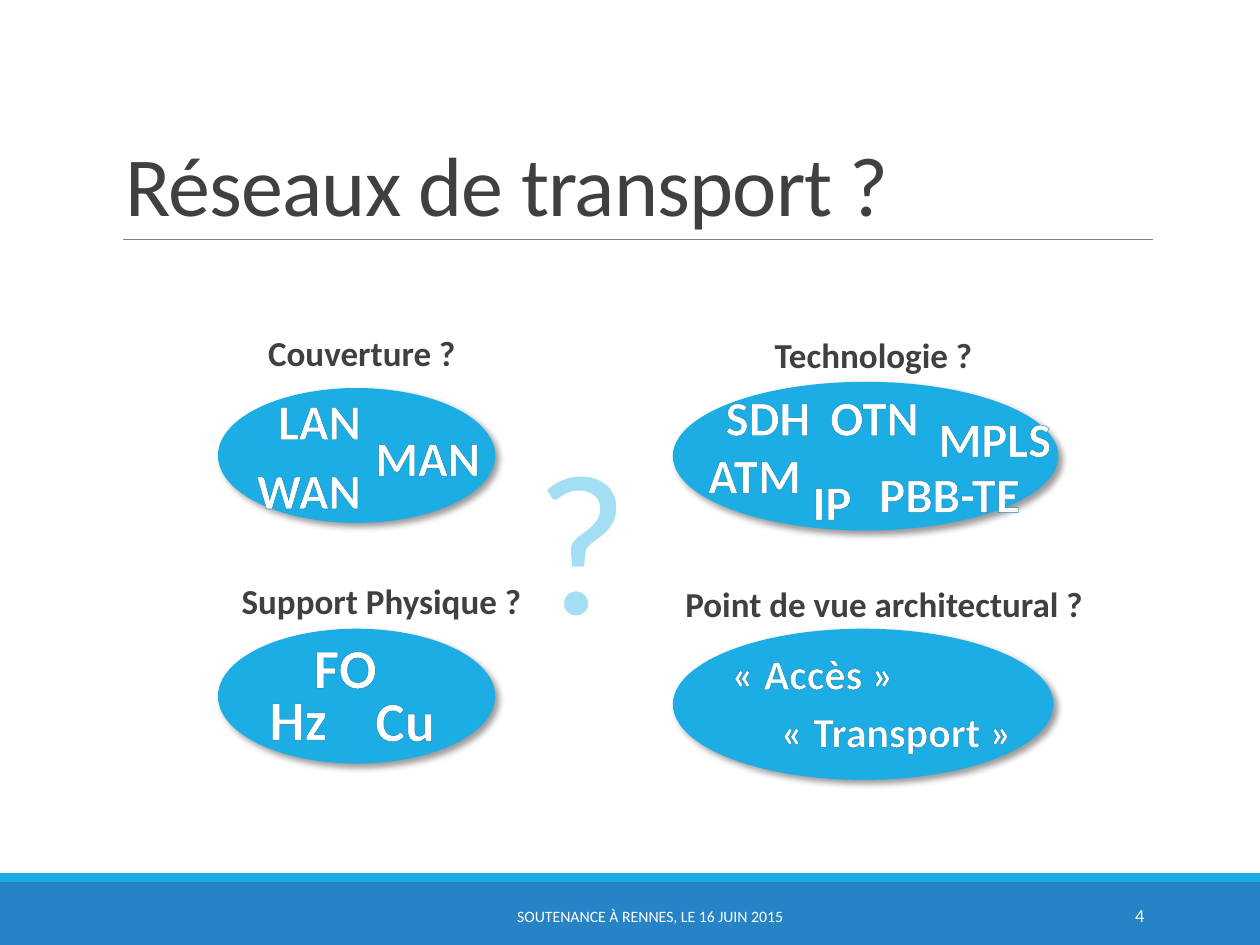
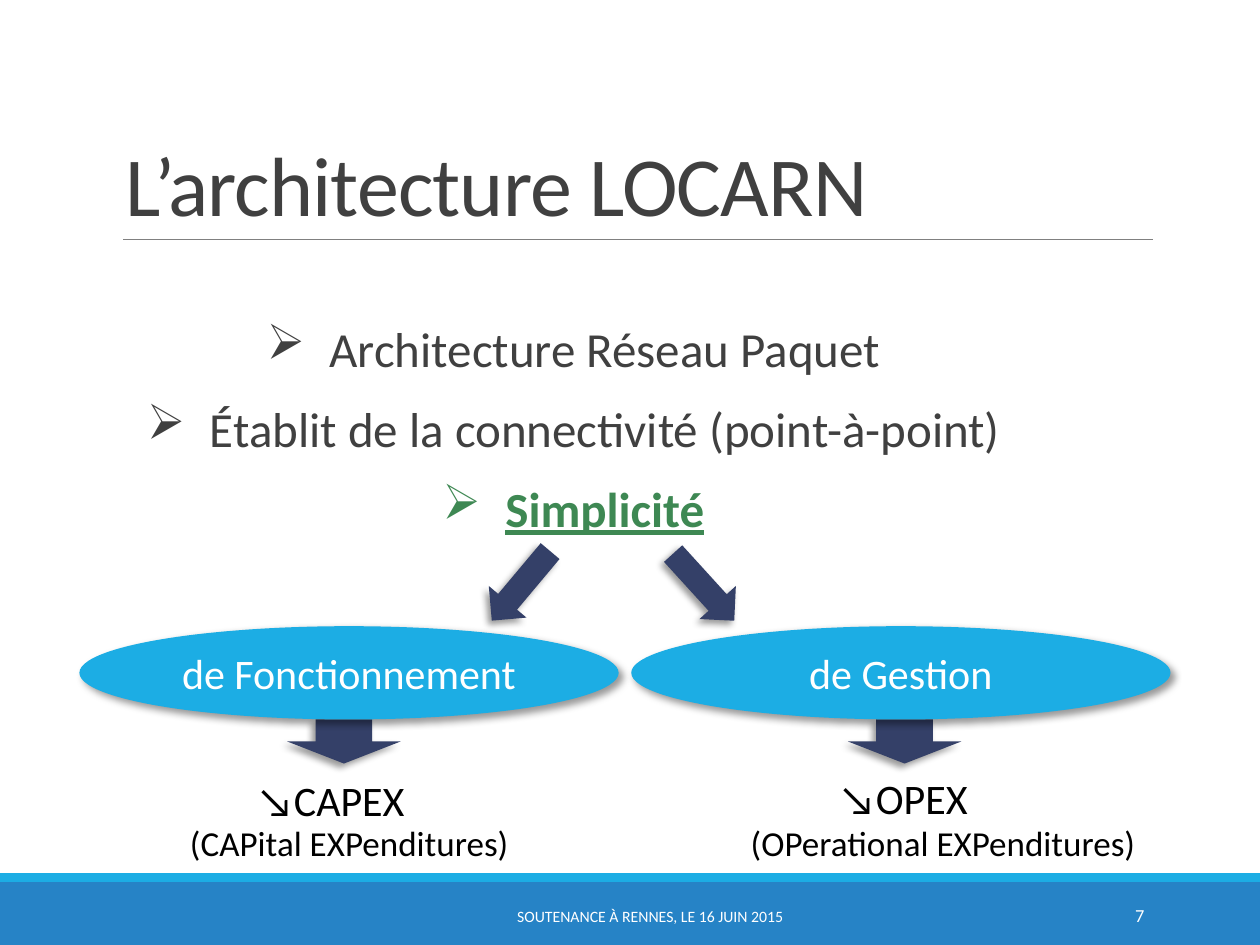
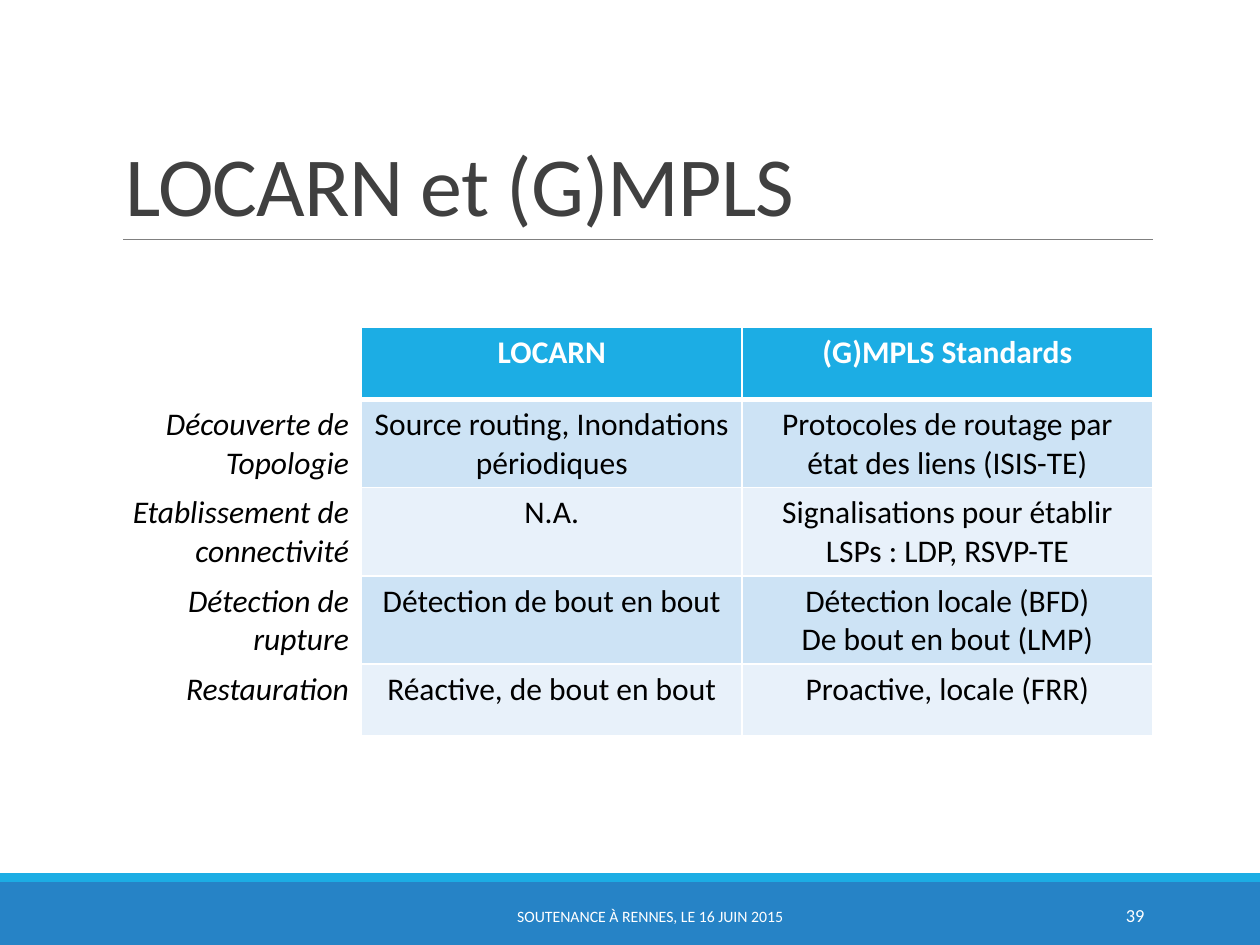
from dataclasses import dataclass

from lxml import etree
from pptx import Presentation
from pptx import util as u
from pptx.dml.color import RGBColor
from pptx.enum import shapes, text
from pptx.oxml import ns


@dataclass(frozen=True)
class Theme:
    font: str = "Calibri"
    white: str = "FFFFFF"
    black: str = "000000"
    ink: str = "404040"
    rule: str = "808080"
    blue: str = "1CADE4"
    footer_blue: str = "2683C6"
    outline_blue: str = "1482AC"
    pale_blue: str = "A4DEF4"
    navy: str = "344068"
    green: str = "3E8853"
    row_dark: str = "CDE3F5"
    row_light: str = "E8F1FA"
    title: float = 48
    large: float = 28
    medium: float = 24
    label: float = 20
    table: float = 18
    footer: float = 9
    number: float = 10.5
    giant: float = 115


theme = Theme()
LEFT, CENTER, RIGHT = text.PP_ALIGN.LEFT, text.PP_ALIGN.CENTER, text.PP_ALIGN.RIGHT
TOP, MIDDLE, BOTTOM = text.MSO_ANCHOR.TOP, text.MSO_ANCHOR.MIDDLE, text.MSO_ANCHOR.BOTTOM


def write(frame, content, size, color, align=LEFT, anchor=TOP, wrap=True, bold=False, italic=False):
    """Fill a text frame and format all of its runs."""
    frame.text = content
    frame.word_wrap = wrap
    frame.vertical_anchor = anchor
    for paragraph in frame.paragraphs:
        paragraph.alignment = align
        for run in paragraph.runs:
            run.font.name = theme.font
            run.font.size = u.Pt(size)
            run.font.bold = bold
            run.font.italic = italic
            run.font.color.rgb = RGBColor.from_string(color)
    return frame


def add_block(slide, preset, box, color, shadow_angle=None):
    """Add a filled shape without outline, with an optional soft shadow."""
    block = slide.shapes.add_shape(preset, *map(u.Inches, box))
    block.fill.solid()
    block.fill.fore_color.rgb = RGBColor.from_string(color)
    block.line.fill.background()
    block.shadow.inherit = False
    if shadow_angle is not None:
        effects = block._element.spPr.find(ns.qn("a:effectLst"))
        shadow = etree.SubElement(effects, ns.qn("a:outerShdw"), blurRad=str(u.Pt(4)),
                                  dist=str(u.Pt(3)), dir=str(shadow_angle * 60000),
                                  algn="tl", rotWithShape="0")
        shade = etree.SubElement(shadow, ns.qn("a:srgbClr"), val=theme.black)
        etree.SubElement(shade, ns.qn("a:alpha"), val="40000")
    return block


deck = Presentation()
deck.slide_width, deck.slide_height = u.Inches(10), u.Inches(7.5)

# Shared frame: footer bands, title rule, title, footer text, page number
pages = []
for title, number in (("Réseaux de transport ?", "4"),
                      ("L’architecture LOCARN", "7"),
                      ("LOCARN et (G)MPLS", "39")):
    page = deck.slides.add_slide(deck.slide_layouts[6])
    pages.append(page)
    add_block(page, shapes.MSO_SHAPE.RECTANGLE, (0, 7, 10, 0.5), theme.footer_blue)
    add_block(page, shapes.MSO_SHAPE.RECTANGLE, (0, 6.93, 10, 0.07), theme.blue)
    rule = page.shapes.add_connector(shapes.MSO_CONNECTOR.STRAIGHT, u.Inches(0.98),
                                     u.Inches(1.9), u.Inches(9.15), u.Inches(1.9))
    rule.line.color.rgb = RGBColor.from_string(theme.rule)
    rule.line.width = u.Pt(0.5)
    etree.SubElement(rule._element.spPr, ns.qn("a:effectLst"))

    heading = page.shapes.add_textbox(*map(u.Inches, (0.9, 0.31, 8.25, 1.59))).text_frame
    write(heading, title, theme.title, theme.ink, anchor=BOTTOM)
    heading.paragraphs[0].line_spacing = 0.85
    heading.paragraphs[0].runs[0].font._element.set("spc", "-50")

    for content, box, size, align in (
            ("SOUTENANCE À RENNES, LE 16 JUIN 2015", (3.18, 7.07, 3.96, 0.4), theme.footer, CENTER),
            (number, (8.1, 7.06, 1.08, 0.4), theme.number, RIGHT)):
        footer = page.shapes.add_textbox(*map(u.Inches, box))
        write(footer.text_frame, content, size, theme.white, align, MIDDLE)

networks, architecture, comparison = pages

# Slide 1: four questions, each with an ellipse of outlined words
questions = (
    ("Couverture ?", (2.03, 2.58, 1.7, 0.44), (1.73, 3.08, 2.2, 1.07), theme.large,
     (("LAN", 2.11, 3.05, 0.87), ("MAN", 2.88, 3.34, 1.04), ("WAN", 1.94, 3.6, 1.04))),
    ("Technologie ?", (6.05, 2.6, 1.78, 0.44), (5.34, 3.03, 3.06, 1.18), theme.large,
     (("SDH", 5.66, 3.02, 0.88), ("ATM", 5.52, 3.48, 0.95), ("IP", 6.35, 3.69, 0.52),
      ("PBB-TE", 6.88, 3.63, 1.36), ("MPLS", 7.35, 3.19, 1.11), ("OTN", 6.49, 3.02, 0.91))),
    ("Support Physique ?", (1.82, 4.55, 2.43, 0.44), (1.73, 4.99, 2.2, 1.07), 32,
     (("FO", 2.39, 4.97, 0.71), ("Hz", 2.04, 5.38, 0.66), ("Cu", 2.88, 5.39, 0.68))),
    ("Point de vue architectural ?", (5.34, 4.57, 3.38, 0.44), (5.34, 4.99, 3.02, 1.2),
     theme.medium, (("« Accès »", 5.71, 5.09, 1.5), ("« Transport »", 6.1, 5.55, 2.05))),
)
for question, question_box, ellipse_box, size, words in questions:
    add_block(networks, shapes.MSO_SHAPE.OVAL, ellipse_box, theme.blue, 45)
    label = networks.shapes.add_textbox(*map(u.Inches, question_box))
    write(label.text_frame, question, theme.label, theme.ink, wrap=False, bold=True)
    for word, left, top, width in words:
        height = 0.1 + size / 60
        term = networks.shapes.add_textbox(*map(u.Inches, (left, top, width, height)))
        write(term.text_frame, word, size, theme.white, wrap=False, bold=True)
        properties = term.text_frame.paragraphs[0].runs[0].font._element
        outline = etree.Element(ns.qn("a:ln"), w=str(u.Pt(0.8)))
        outline_fill = etree.SubElement(outline, ns.qn("a:solidFill"))
        etree.SubElement(outline_fill, ns.qn("a:srgbClr"), val=theme.outline_blue)
        properties.insert(0, outline)

big_question = networks.shapes.add_textbox(*map(u.Inches, (4.15, 3.23, 1, 2.04)))
write(big_question.text_frame, "?", theme.giant, theme.pale_blue)

# Slide 2: key points
points = architecture.shapes.add_textbox(*map(u.Inches, (0.94, 2.48, 7.22, 1.85))).text_frame
write(points, "Architecture Réseau Paquet\nÉtablit de la connectivité (point-à-point)\nSimplicité",
      theme.large, theme.ink, CENTER, wrap=False)
for index, point in enumerate(points.paragraphs):
    layout = point._p.get_or_add_pPr()
    layout.set("marL", str(u.Inches(0.5)))
    layout.set("indent", str(-u.Inches(0.5)))
    etree.SubElement(layout, ns.qn("a:buChar"), char="➢")
    if index:
        point.space_before = u.Pt(12)
simplicity = points.paragraphs[-1].runs[0].font
simplicity.bold = simplicity.underline = True
simplicity.color.rgb = RGBColor.from_string(theme.green)

# Slide 2: arrows leading to the two kinds of simplicity and their savings
for box, angle in (((3.94, 4.29, 0.39, 0.72), 40), ((5.39, 4.3, 0.39, 0.72), 317.7),
                   ((2.28, 5.71, 0.9, 0.35), 0), ((6.73, 5.71, 0.9, 0.35), 0)):
    arrow = add_block(architecture, shapes.MSO_SHAPE.DOWN_ARROW, box, theme.navy, 135)
    arrow.rotation = angle

for kind, left in (("de Fonctionnement", 0.63), ("de Gestion", 5.01)):
    ellipse = add_block(architecture, shapes.MSO_SHAPE.OVAL, (left, 4.97, 4.28, 0.74),
                        theme.blue, 45)
    write(ellipse.text_frame, kind, theme.medium, theme.white, CENTER, MIDDLE)

for content, box, size in (
        ("↘CAPEX", (1.94, 6.1, 1.39, 0.5), theme.medium),
        ("↘OPEX", (6.56, 6.08, 1.23, 0.5), theme.medium),
        ("(CAPital EXPenditures)", (1.41, 6.47, 2.76, 0.44), theme.label),
        ("(OPerational EXPenditures)", (5.86, 6.47, 3.29, 0.44), theme.label)):
    saving = architecture.shapes.add_textbox(*map(u.Inches, box))
    write(saving.text_frame, content, size, theme.black, wrap=False)

# Slide 3: comparison table
rows = (
    ("", "LOCARN", "(G)MPLS Standards"),
    ("Découverte de Topologie", "Source routing, Inondations périodiques",
     "Protocoles de routage par état des liens (ISIS-TE)"),
    ("Etablissement de connectivité", "N.A.", "Signalisations pour établir LSPs : LDP, RSVP-TE"),
    ("Détection de rupture", "Détection de bout en bout",
     "Détection locale (BFD)\nDe bout en bout (LMP)"),
    ("Restauration", "Réactive, de bout en bout", "Proactive, locale (FRR)"),
)
grid = comparison.shapes.add_table(len(rows), 3, *map(u.Inches, (0.68, 2.6, 8.47, 2.85))).table
for column, width in zip(grid.columns, (2.19, 3.02, 3.26)):
    column.width = u.Inches(width)
for r, row in enumerate(rows):
    grid.rows[r].height = u.Inches(0.57)
    for c, content in enumerate(row):
        cell = grid.cell(r, c)
        header, criterion = r == 0, c == 0
        write(cell.text_frame, content, theme.table, theme.white if header else theme.black,
              RIGHT if criterion else CENTER, bold=header, italic=criterion)
        # The rule under the header row is thicker than the others
        widths = {"lnL": 1, "lnR": 1, "lnT": 3 if r == 1 else 1, "lnB": 3 if header else 1}
        for side, points_wide in widths.items():
            border = etree.SubElement(cell._tc.get_or_add_tcPr(), ns.qn("a:" + side),
                                      w=str(u.Pt(points_wide)))
            border_fill = etree.SubElement(border, ns.qn("a:solidFill"))
            etree.SubElement(border_fill, ns.qn("a:srgbClr"), val=theme.white)
        if criterion:
            shade = theme.white
        elif header:
            shade = theme.blue
        else:
            shade = theme.row_dark if r % 2 else theme.row_light
        cell.fill.solid()
        cell.fill.fore_color.rgb = RGBColor.from_string(shade)

deck.save("out.pptx")
